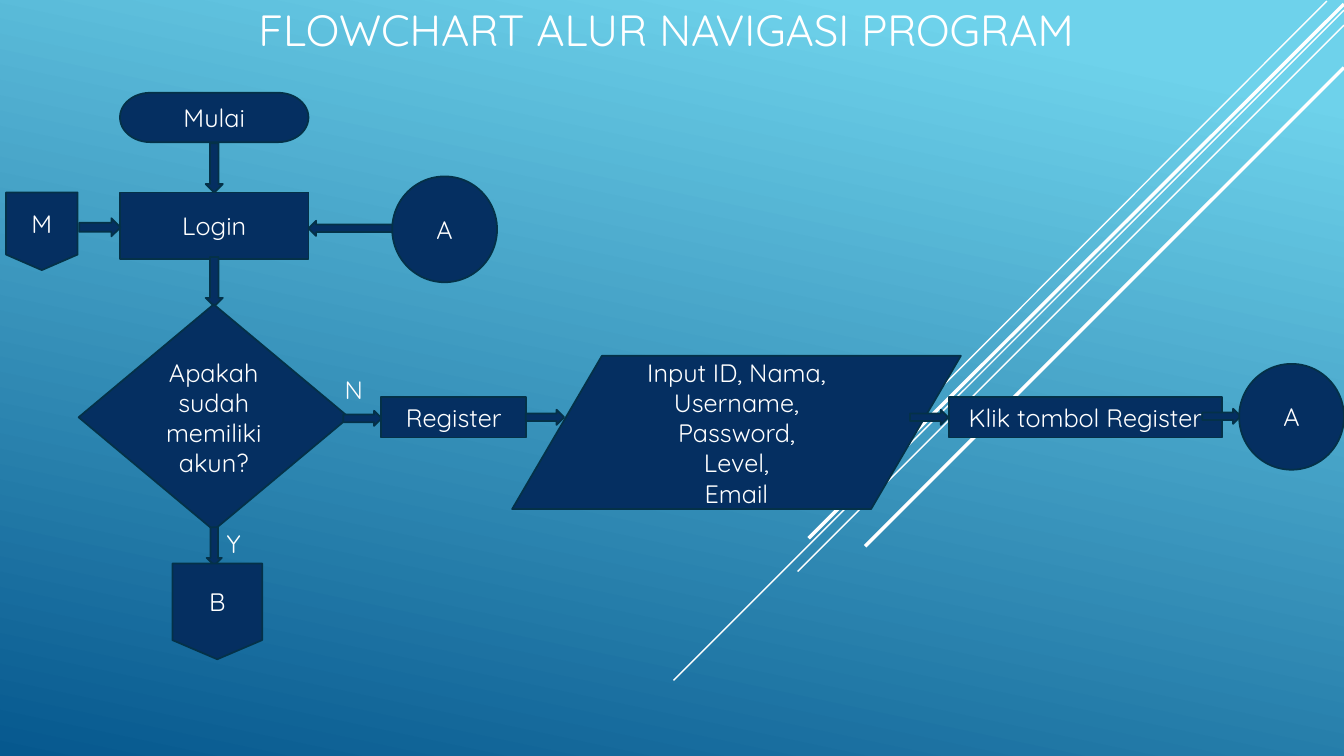
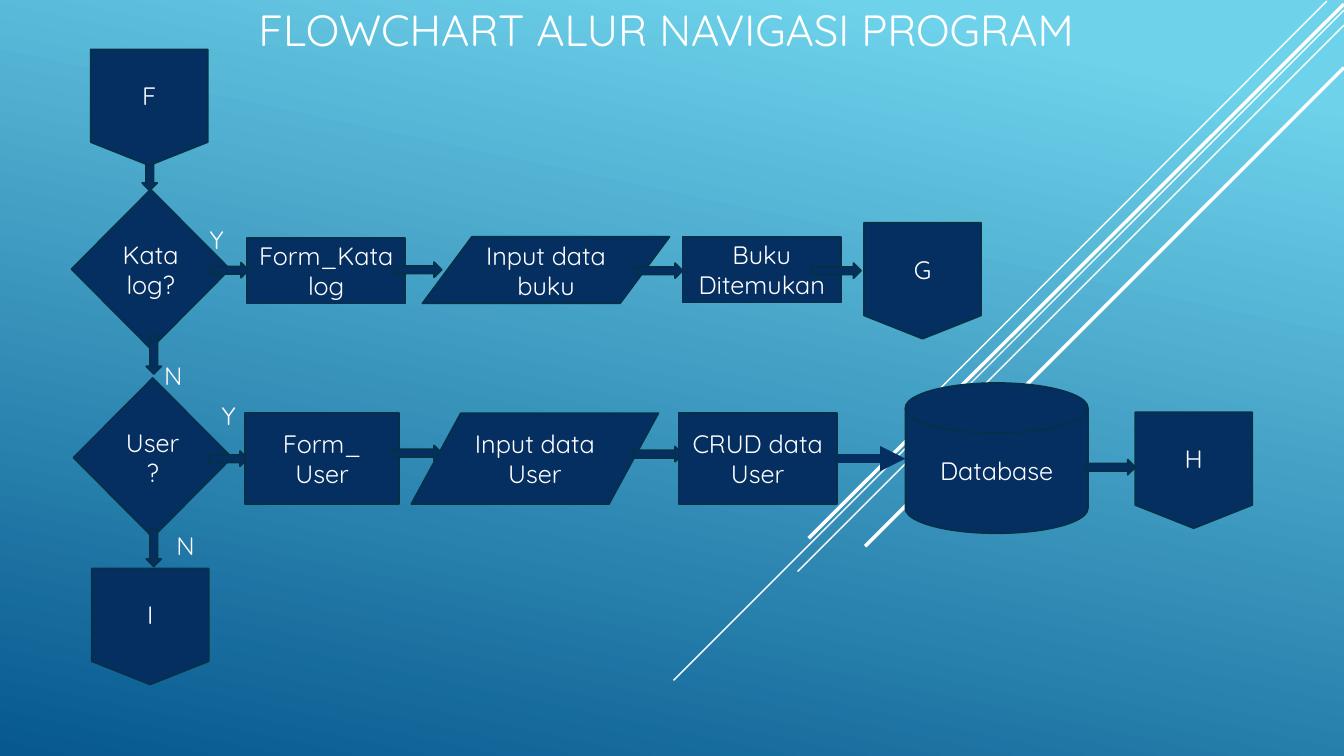
from lxml.etree import SubElement
from pptx import Presentation
from pptx.dml.color import RGBColor
from pptx.enum.shapes import MSO_CONNECTOR, MSO_SHAPE
from pptx.enum.text import MSO_ANCHOR, MSO_AUTO_SIZE, PP_ALIGN
from pptx.oxml.ns import qn
from pptx.util import Inches, Pt

COLORS = {"sky": "6ED2EB", "deep": "06588E", "navy": "052F61",
          "edge": "043148", "white": "FFFFFF"}
RGB = {name: RGBColor.from_string(value) for name, value in COLORS.items()}
FONT = "Quicksand"
TITLE = "FLOWCHART ALUR NAVIGASI PROGRAM "

KINDS = {
    "terminator": (MSO_SHAPE.FLOWCHART_TERMINATOR, 0),
    "process": (MSO_SHAPE.FLOWCHART_PROCESS, 0),
    "decision": (MSO_SHAPE.FLOWCHART_DECISION, 0),
    "data": (MSO_SHAPE.FLOWCHART_DATA, 0),
    "disk": (MSO_SHAPE.FLOWCHART_MAGNETIC_DISK, 0),
    "circle": (MSO_SHAPE.FLOWCHART_CONNECTOR, 0),
    "page": (MSO_SHAPE.FLOWCHART_OFFPAGE_CONNECTOR, 0),
    "down": (MSO_SHAPE.DOWN_ARROW, 0),
    "left": (MSO_SHAPE.DOWN_ARROW, 90),
    "right": (MSO_SHAPE.DOWN_ARROW, 270),
}
SHORT = (0.15, 0.38)
LONG = (0.15, 0.49)
THICK = (0.17, 0.49)
CIRCLE = (1.04, 1.05)
PAGE = (1.16, 1.15)
DIAMOND = (1.57, 1.58)
BOX = (1.57, 0.65)
TALL_BOX = (1.57, 0.9)
LABELS = {"Y": (0.35, 0.4), "N": (0.39, 0.4)}

RAYS = [
    (13.16, 0.01, 9, 4.18, 1),
    (13.33, 0.1, 6.68, 6.75, 1),
    (13.33, 0.25, 7.91, 5.67, 1),
    (13.33, 0.04, 8.02, 5.34, 2.5),
    (13.33, 0.67, 8.58, 5.42, 2.5),
]

LOGIN_FLOW = [
    ("terminator", "Mulai", 1.19, 0.92, (1.87, 0.49)),
    ("down", "", 2.04, 1.42, THICK),
    ("process", "Login", 1.19, 1.91, (1.87, 0.66)),
    ("page", "M", 0.06, 1.91, (0.71, 0.77)),
    ("left", "", 3.42, 1.83, (0.15, 0.87)),
    ("down", "", 2.04, 2.55, THICK),
    ("decision", "Apakah sudah memiliki akun?", 0.78, 3.02, (2.68, 2.24)),
    ("right", "", 3.52, 3.96, SHORT),
    ("down", "", 2.05, 5.23, SHORT),
    ("label", "Y", 2.15, 5.19, LABELS["Y"]),
    ("label", "N", 3.32, 3.66, LABELS["N"]),
    ("process", "Register", 3.78, 3.94, (1.44, 0.4)),
    ("right", "", 5.33, 3.95, SHORT),
    ("data", "Input ID, Nama, Username,\nPassword,\nLevel,\nEmail", 5.08, 3.53, (4.45, 1.52)),
    ("process", "Klik tombol Register", 9.41, 3.94, (2.71, 0.4)),
    ("right", "", 9.14, 3.95, SHORT),
    ("right", "", 12.04, 3.94, SHORT),
    ("circle", "A", 12.29, 3.61, CIRCLE),
    ("page", "B", 1.71, 5.59, (0.89, 0.95)),
    ("circle", "A", 3.89, 1.75, CIRCLE),
    ("right", "", 0.9, 2.05, (0.18, 0.41)),
]

CATALOG_FLOW = [
    ("decision", "Katalog?", 0.71, 1.88, DIAMOND),
    ("down", "", 1.41, 1.51, SHORT),
    ("right", "", 2.2, 2.49, SHORT),
    ("down", "", 1.45, 3.33, SHORT),
    ("decision", "User?", 0.73, 3.75, DIAMOND),
    ("down", "", 1.45, 5.24, SHORT),
    ("page", "I", 0.91, 5.64, PAGE),
    ("right", "", 2.19, 4.36, SHORT),
    ("process", "Form_Katalog", 2.45, 2.36, BOX),
    ("right", "", 4.06, 2.43, LONG),
    ("data", "Input data buku", 4.19, 2.35, (2.45, 0.66)),
    ("right", "", 6.45, 2.44, LONG),
    ("process", "Buku Ditemukan", 6.77, 2.35, BOX),
    ("right", "", 8.22, 2.44, LONG),
    ("process", "Form_\nUser", 2.43, 4.1, (1.53, 0.9)),
    ("right", "", 4.06, 4.25, LONG),
    ("data", "Input data User", 4.08, 4.1, (2.45, 0.9)),
    ("right", "", 6.45, 4.26, LONG),
    ("process", "CRUD data User", 6.73, 4.1, TALL_BOX),
    ("disk", "Database", 8.98, 3.8, (1.81, 1.49)),
    ("right", "", 10.94, 4.39, LONG),
    ("page", "H", 11.26, 4.09, PAGE),
    ("page", "G", 8.57, 2.21, PAGE),
    ("label", "Y", 1.98, 2.18, LABELS["Y"]),
    ("label", "N", 1.53, 3.53, LABELS["N"]),
    ("label", "Y", 2.1, 3.92, LABELS["Y"]),
    ("label", "N", 1.65, 5.21, LABELS["N"]),
    ("page", "F", 0.9, 0.49, PAGE),
]


def add_line(s, x1, y1, x2, y2, color, width):
    line = s.shapes.add_connector(MSO_CONNECTOR.STRAIGHT, Inches(x1), Inches(y1),
                                  Inches(x2), Inches(y2))
    line.line.color.rgb = RGB[color]
    line.line.width = Pt(width)
    SubElement(line._element.spPr, qn("a:effectLst"))
    return line


def write(sp, text, size, align, **frame):
    tf = sp.text_frame
    tf.text = text
    for name, value in frame.items():
        setattr(tf, name, value)
    for p in tf.paragraphs:
        p.alignment = align
        for r in p.runs:
            for name, value in {"name": FONT, "size": Pt(size)}.items():
                setattr(r.font, name, value)
            r.font.color.rgb = RGB["white"]


prs = Presentation()
prs.slide_width, prs.slide_height = Inches(13.33), Inches(7.5)

for flow in (LOGIN_FLOW, CATALOG_FLOW):
    s = prs.slides.add_slide(prs.slide_layouts[6])
    fill = s.background.fill
    fill.gradient()
    fill.gradient_angle = 360 - 102
    for stop, color, position in zip(fill.gradient_stops, ("sky", "deep"), (0.1, 1)):
        stop.color.rgb = RGB[color]
        stop.position = position
    for x1, y1, x2, y2, width in RAYS:
        add_line(s, x1, y1, x2, y2, "white", width)

    title = s.shapes.add_textbox(Inches(2.29), Inches(-0.55), Inches(8.75), Inches(1.15))
    write(title, TITLE, 31.2, PP_ALIGN.CENTER, word_wrap=True,
          vertical_anchor=MSO_ANCHOR.BOTTOM)

    for kind, text, x, y, (w, h) in flow:
        box = Inches(x), Inches(y), Inches(w), Inches(h)
        if kind == "label":
            write(s.shapes.add_textbox(*box), text, 18, PP_ALIGN.LEFT,
                  word_wrap=False, auto_size=MSO_AUTO_SIZE.SHAPE_TO_FIT_TEXT)
            continue
        preset, rotation = KINDS[kind]
        sp = s.shapes.add_shape(preset, *box)
        sp.rotation = rotation
        sp.shadow.inherit = False
        sp.fill.solid()
        sp.fill.fore_color.rgb = RGB["navy"]
        sp.line.color.rgb = RGB["edge"]
        sp.line.width = Pt(1.25)
        if text:
            write(sp, text, 18, PP_ALIGN.CENTER, word_wrap=True,
                  vertical_anchor=MSO_ANCHOR.MIDDLE)

to_database = add_line(s, 8.3, 4.55, 8.98, 4.55, "navy", 6)
SubElement(to_database.line._get_or_add_ln(), qn("a:tailEnd"), type="triangle")

prs.save("out.pptx")
